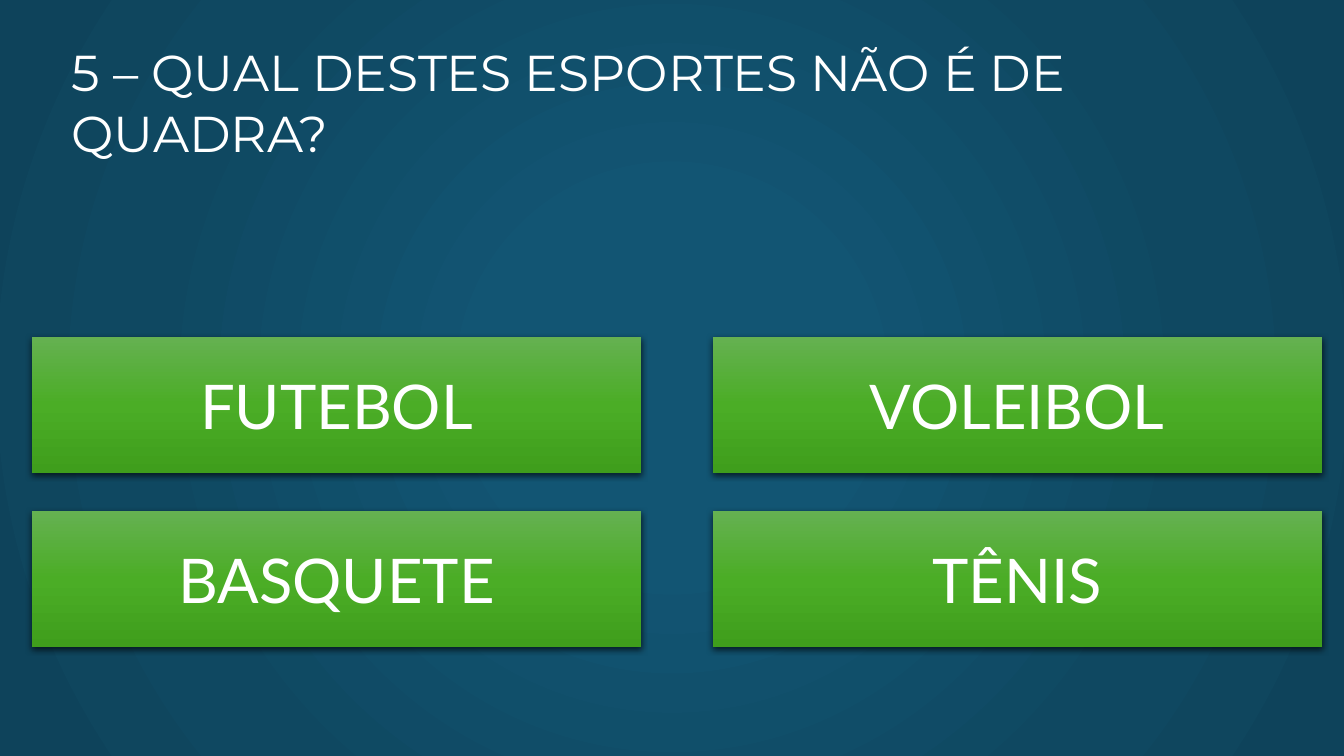
from lxml import etree
from pptx import Presentation
from pptx.dml.color import RGBColor
from pptx.enum.shapes import MSO_SHAPE
from pptx.enum.text import MSO_ANCHOR, MSO_AUTO_SIZE, PP_ALIGN
from pptx.oxml import parse_xml
from pptx.oxml.ns import nsdecls, qn
from pptx.util import Inches, Pt

RECTANGLE = MSO_SHAPE.RECTANGLE
TOP, MIDDLE = MSO_ANCHOR.TOP, MSO_ANCHOR.MIDDLE
LEFT, CENTER = PP_ALIGN.LEFT, PP_ALIGN.CENTER
NO_AUTOFIT = MSO_AUTO_SIZE.NONE

WHITE = RGBColor(0xFF, 0xFF, 0xFF)
BLACK = RGBColor(0x00, 0x00, 0x00)
BLUE = RGBColor(0x12, 0x55, 0x73)
DEEP_BLUE = RGBColor(0x0F, 0x48, 0x61)
DARK_BLUE = RGBColor(0x0E, 0x43, 0x5B)
LIGHT_GREEN = RGBColor(0x65, 0xB1, 0x51)
GREEN = RGBColor(0x4B, 0xAD, 0x26)
DARK_GREEN = RGBColor(0x3F, 0x9E, 0x1C)

BACKDROP_STOPS = [(0, BLUE), (23, BLUE), (69, DEEP_BLUE), (97, DARK_BLUE), (100, DARK_BLUE)]
BUTTON_STOPS = [(0, LIGHT_GREEN), (50, GREEN), (100, DARK_GREEN)]
FROM_CENTER = ('<a:path path="circle">'
               '<a:fillToRect l="50000" t="50000" r="50000" b="50000"/></a:path>')
DOWNWARD = '<a:lin ang="5400000" scaled="0"/>'

QUESTION = "5 – QUAL DESTES ESPORTES NÃO É DE QUADRA?"
ANSWERS = [["FUTEBOL", "VOLEIBOL"], ["BASQUETE", "TÊNIS"]]

GRID_LEFT, GRID_TOP = 0.32, 3.34
COLUMN_STEP, ROW_STEP = 6.75, 1.73
BUTTON_WIDTH, BUTTON_HEIGHT = 6.04, 1.35


def apply_gradient(owner, fill, stops, direction):
    """Give the fill inside the owner element a gradient in the given direction."""
    fill.solid()
    solid = owner.find(".//" + qn("a:solidFill"))
    marks = "".join(f'<a:gs pos="{share * 1000}"><a:srgbClr val="{color}"/></a:gs>'
                    for share, color in stops)
    gradient = parse_xml(f'<a:gradFill {nsdecls("a")} rotWithShape="1">'
                         f'<a:gsLst>{marks}</a:gsLst>{direction}</a:gradFill>')
    solid.getparent().replace(solid, gradient)


def add_drop_shadow(shape):
    shape.shadow.inherit = False
    effects = shape._element.spPr.find(qn("a:effectLst"))
    shadow = etree.SubElement(effects, qn("a:outerShdw"), blurRad=str(Pt(4.5)),
                              dist=str(Pt(1.5)), dir="5400000", rotWithShape="0")
    color = etree.SubElement(shadow, qn("a:srgbClr"), val=str(BLACK))
    etree.SubElement(color, qn("a:alpha"), val="63000")


def write(shape, text, *, font, size, color=WHITE, align=LEFT, anchor=TOP):
    frame = shape.text_frame
    frame.word_wrap = True
    frame.auto_size = NO_AUTOFIT
    frame.vertical_anchor = anchor
    paragraph = frame.paragraphs[0]
    paragraph.alignment = align
    run = paragraph.add_run()
    run.text = text
    run.font.name = font
    run.font.size = Pt(size)
    run.font.color.rgb = color


def place_question(slide):
    question = slide.shapes.title
    question.left, question.top = Inches(0.61), Inches(0.36)
    question.width, question.height = Inches(11.91), Inches(1.31)
    write(question, QUESTION, font="Montserrat", size=36)


def add_answer(slide, answer, column, row):
    button = slide.shapes.add_shape(
        RECTANGLE,
        Inches(GRID_LEFT + column * COLUMN_STEP), Inches(GRID_TOP + row * ROW_STEP),
        Inches(BUTTON_WIDTH), Inches(BUTTON_HEIGHT))
    apply_gradient(button._element.spPr, button.fill, BUTTON_STOPS, DOWNWARD)
    button.line.fill.background()
    add_drop_shadow(button)
    write(button, answer, font="Lato", size=44, align=CENTER, anchor=MIDDLE)


def main():
    presentation = Presentation()
    presentation.slide_width = Inches(13.33)
    presentation.slide_height = Inches(7.5)
    title_only = presentation.slide_layouts[5]
    slide = presentation.slides.add_slide(title_only)
    apply_gradient(slide._element, slide.background.fill, BACKDROP_STOPS, FROM_CENTER)
    place_question(slide)
    for row, answers in enumerate(ANSWERS):
        for column, answer in enumerate(answers):
            add_answer(slide, answer, column, row)
    presentation.save("out.pptx")


if __name__ == "__main__":
    main()
